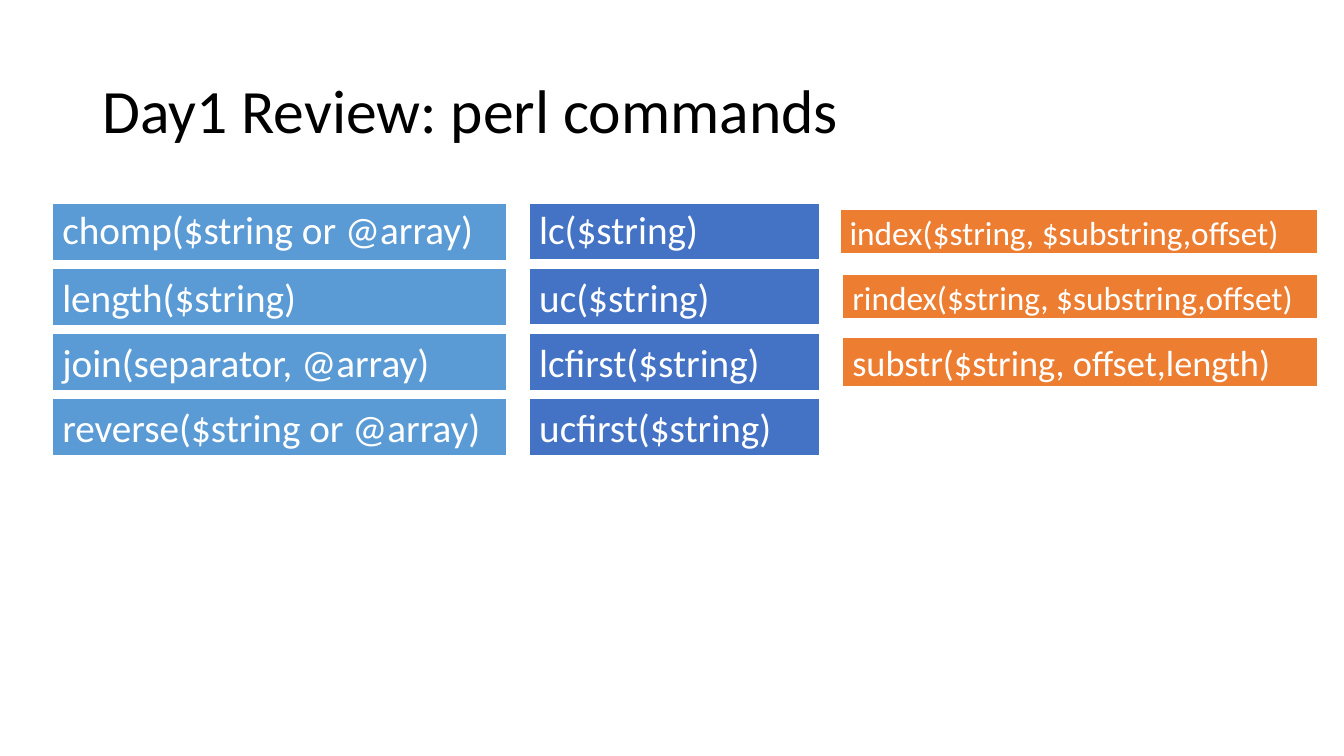
"""Build the review slide of perl commands, one coloured column per group."""
from pptx import Presentation
from pptx.dml.color import RGBColor
from pptx.enum import shapes, text
from pptx.util import Cm, Pt

COLORS = {"sky": "5B9BD5", "blue": "4472C4", "orange": "ED7D31",
          "white": "FFFFFF", "black": "000000"}
FIRST_MIDDLE, ROW_PITCH = 5.84, 1.64
GENERAL = ["chomp($string or @array)", "length($string)",
           "join(separator, @array)", "reverse($string or @array)"]
CASE = ["lc($string)", "uc($string)", "lcfirst($string)", "ucfirst($string)"]
SUBSTRING = [("index($string, $substring,offset)", 21.16, 1.14, 23.8),
             ("rindex($string, $substring,offset)", 21.23, 1.14, 23.8),
             ("substr($string, offset,length)", 21.23, 1.27, 25.9)]
SUBSTRING_RIGHT = 33.22


def rgb(name):
    """Return the named colour."""
    return RGBColor.from_string(COLORS[name])


def write(shape, words, size, color, spacing):
    """Put one left-aligned, vertically centred paragraph in a shape."""
    frame = shape.text_frame
    frame.word_wrap = True
    frame.vertical_anchor = text.MSO_ANCHOR.MIDDLE
    para = frame.paragraphs[0]
    para.text = words
    para.alignment = text.PP_ALIGN.LEFT
    para.line_spacing = spacing
    para.font.name = "Calibri"
    para.font.size = Pt(size)
    para.font.color.rgb = rgb(color)


def add_title(page, words):
    """Add the slide title."""
    box = page.shapes.add_textbox(Cm(2.33), Cm(1.01), Cm(29.21), Cm(3.68))
    write(box, words, 44, "black", 0.9)


def add_command(page, words, row, left, width, height, color, size=28, spacing=1.0):
    """Add a command bar centred on its row."""
    top = FIRST_MIDDLE + row * ROW_PITCH - height / 2
    bar = page.shapes.add_shape(shapes.MSO_SHAPE.RECTANGLE,
                                Cm(left), Cm(top), Cm(width), Cm(height))
    bar.shadow.inherit = False
    bar.fill.solid()
    bar.fill.fore_color.rgb = rgb(color)
    bar.line.color.rgb = rgb("white")
    bar.line.width = Pt(1.5)
    write(bar, words, size, "white", spacing)


def add_column(page, commands, left, width, height, color):
    """Add a column of equal bars, with tighter leading in the first."""
    for row, words in enumerate(commands):
        add_command(page, words, row, left, width, height, color,
                    spacing=1.0 if row else 0.9)


def main():
    """Build and save the slide."""
    deck = Presentation()
    deck.slide_width, deck.slide_height = Cm(33.87), Cm(19.05)
    page = deck.slides.add_slide(deck.slide_layouts[6])
    add_title(page, "Day1 Review: perl commands")
    add_column(page, GENERAL, 1.32, 11.46, 1.47, "sky")
    add_column(page, CASE, 13.34, 7.34, 1.45, "blue")
    for row, (words, left, height, size) in enumerate(SUBSTRING):
        add_command(page, words, row, left, SUBSTRING_RIGHT - left, height, "orange", size)
    deck.save("out.pptx")


main()
